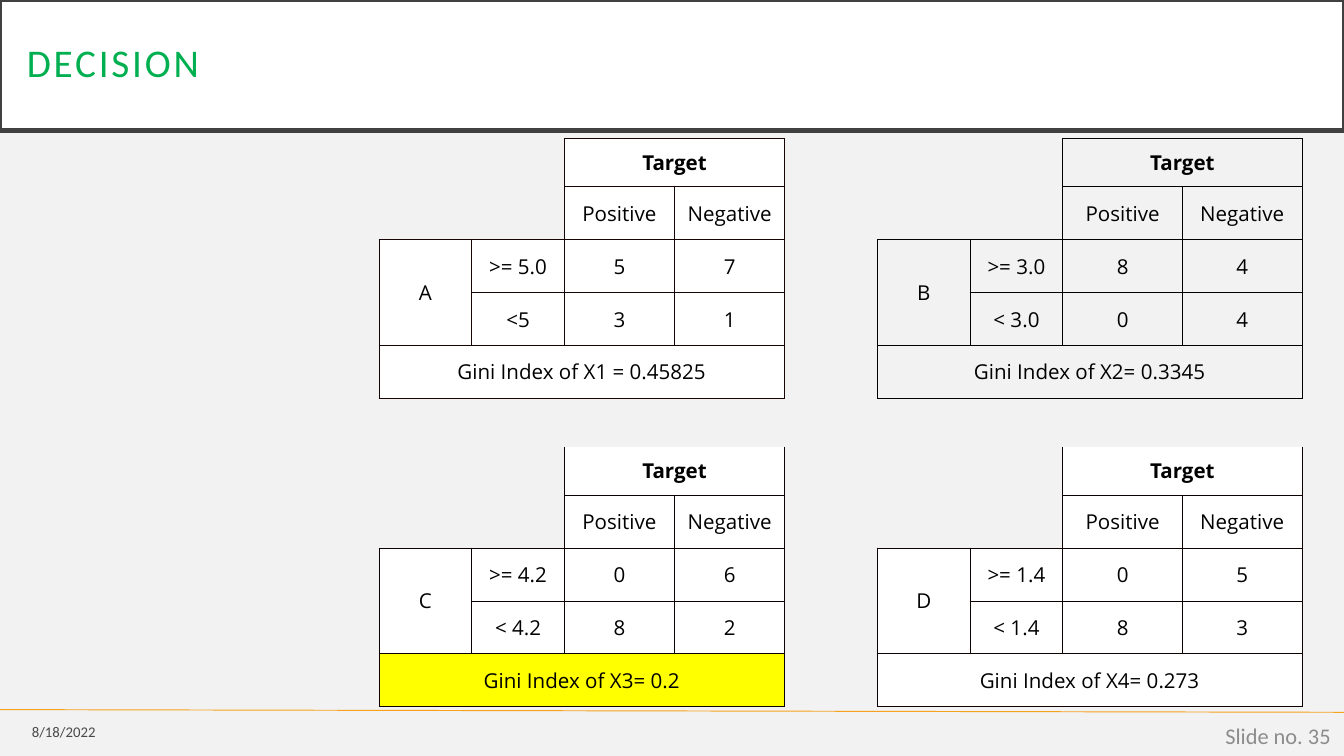
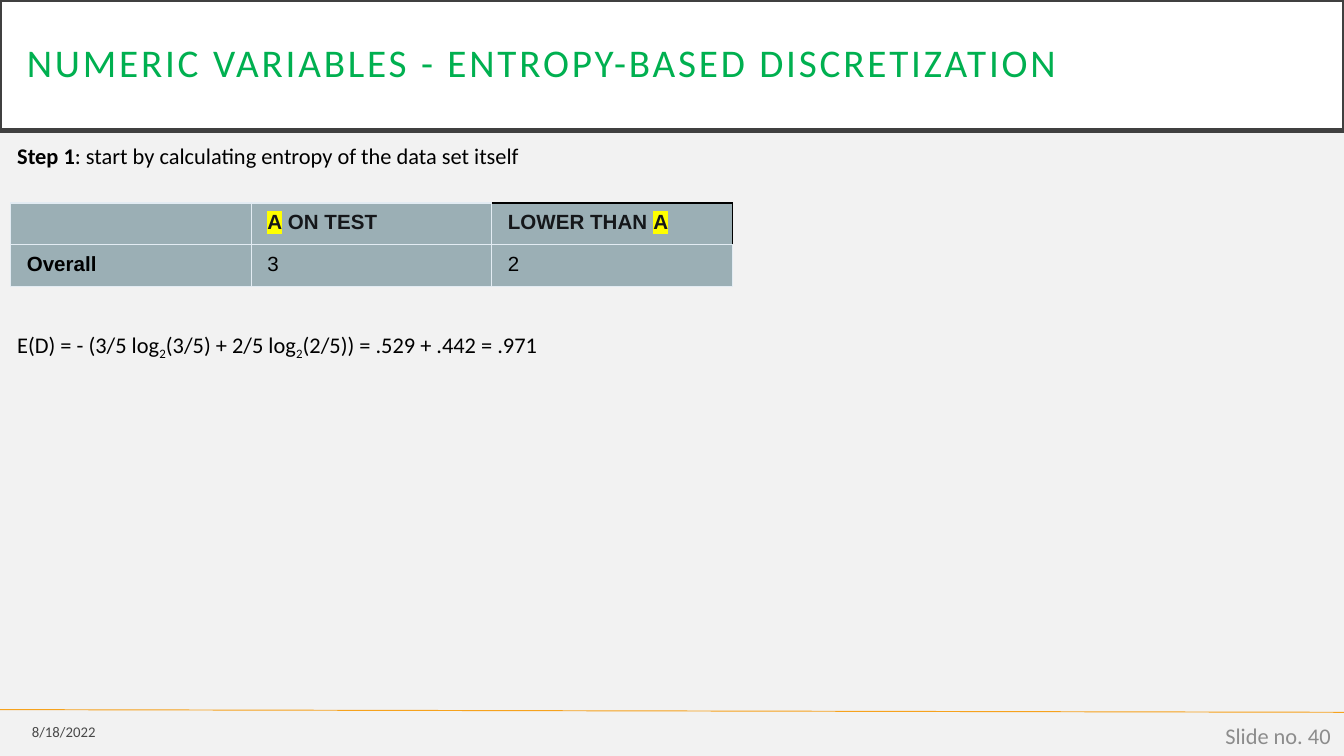
from lxml import etree
from pptx import Presentation
from pptx.dml.color import RGBColor
from pptx.enum.shapes import MSO_CONNECTOR, MSO_SHAPE
from pptx.enum.text import MSO_ANCHOR, PP_ALIGN
from pptx.oxml.ns import qn
from pptx.util import Inches, Pt

LEFT, CENTER, RIGHT = PP_ALIGN.LEFT, PP_ALIGN.CENTER, PP_ALIGN.RIGHT
TOP, MIDDLE = MSO_ANCHOR.TOP, MSO_ANCHOR.MIDDLE
RECTANGLE, STRAIGHT = MSO_SHAPE.RECTANGLE, MSO_CONNECTOR.STRAIGHT

WIDTH = 10
HEIGHT = WIDTH * 9 / 16
BLANK_LAYOUT = 6
PLAIN_TABLE = "{2D5ABB26-0587-4C30-8999-92F81FD0307C}"
COLORS = {
    "page": "F2F2F2", "white": "FFFFFF", "frame": "404040", "title": "00B050",
    "rule": "F6A21D", "black": "000000", "number": "8C8C8C", "mark": "FFFF00",
    "slate": "9BAFB5", "pale": "E3ECF3", "heading": "15171A",
    "ink_a": "170404", "ink_c": "0D0202", "ink_d": "0D0101",
}

DATE = "8/18/2022"
DECISION = ("DECISION", 35)
ENTROPY = ("NUMERIC VARIABLES - ENTROPY-BASED DISCRETIZATION", 40)

ATTRIBUTES = [
    {"name": "A", "at": (0, 0), "ink": "ink_a", "fill": "white", "gini_fill": "white",
     "splits": [(">= 5.0", "5", "7"), ("<5", "3", "1")],
     "gini": "Gini Index of X1 = 0.45825"},
    {"name": "B", "at": (0, 5), "ink": "black", "fill": None, "gini_fill": None,
     "splits": [(">= 3.0", "8", "4"), ("< 3.0", "0", "4")],
     "gini": "Gini Index of X2= 0.3345"},
    {"name": "C", "at": (6, 0), "ink": "ink_c", "fill": "white", "gini_fill": "mark",
     "splits": [(">= 4.2", "0", "6"), ("< 4.2", "8", "2")],
     "gini": "Gini Index of X3= 0.2"},
    {"name": "D", "at": (6, 5), "ink": "ink_d", "fill": "white", "gini_fill": "white",
     "splits": [(">= 1.4", "0", "5"), ("< 1.4", "8", "3")],
     "gini": "Gini Index of X4= 0.273"},
]
GINI_COLUMNS = [0.69, 0.69, 0.82, 0.82, 0.69, 0.69, 0.69, 0.89, 0.89]
GINI_HEIGHT, TARGET_ROW = 4.23, 0.36
BODY_ROW = (GINI_HEIGHT - 3 * TARGET_ROW) / 8
BLOCK_ROWS = [TARGET_ROW] + [BODY_ROW] * 4
GINI_ROWS = BLOCK_ROWS + [TARGET_ROW] + BLOCK_ROWS

STEP = [("Step 1", {"bold": True}),
        (": start by calculating entropy of the data set itself", {})]
SUBSCRIPT = {"baseline": -25000}
FORMULA = [("E(D) = - (3/5 log", {}), ("2", SUBSCRIPT), ("(3/5) + 2/5 log", {}),
           ("2", SUBSCRIPT), ("(2/5)) = .529 + .442 = .971", {})]
HEADING = {"color": "heading", "bold": True}
MARKED = {**HEADING, "highlight": "mark"}
OVERALL = [
    [[], [("A", MARKED), (" ON TEST", HEADING)],
     [("LOWER THAN ", HEADING), ("A", MARKED)]],
    [[("Overall", {"bold": True})], [("3", {})], [("2", {})]],
]


def rgb(key):
    return RGBColor.from_string(COLORS[key])


def write(paragraph, parts, size, face, align=LEFT):
    paragraph.alignment = align
    for text, look in parts:
        run = paragraph.add_run()
        run.text = text
        font = run.font
        font.size, font.name, font.bold = Pt(size), face, look.get("bold", False)
        font.color.rgb = rgb(look.get("color", "black"))
        properties = run._r.get_or_add_rPr()
        for attribute in ("baseline", "spc"):
            if attribute in look:
                properties.set(attribute, str(look[attribute]))
        paint = properties.find(qn("a:solidFill"))
        if "alpha" in look:
            etree.SubElement(paint[0], qn("a:alpha"), val=str(look["alpha"]))
        if "highlight" in look:
            marker = etree.Element(qn("a:highlight"))
            etree.SubElement(marker, qn("a:srgbClr"), val=COLORS[look["highlight"]])
            paint.addnext(marker)


def add_text(slide, box, anchor=TOP):
    frame = slide.shapes.add_textbox(*map(Inches, box)).text_frame
    frame.word_wrap = True
    frame.vertical_anchor = anchor
    return frame


def add_base(deck, title, number):
    slide = deck.slides.add_slide(deck.slide_layouts[BLANK_LAYOUT])
    slide.background.fill.solid()
    slide.background.fill.fore_color.rgb = rgb("page")
    rule = slide.shapes.add_connector(
        STRAIGHT, 0, Inches(5.28), Inches(WIDTH), Inches(5.3))
    rule.line.color.rgb = rgb("rule")
    rule.line.width = Pt(0.5)
    etree.SubElement(rule._element.spPr, qn("a:effectLst"))

    band = slide.shapes.add_shape(RECTANGLE, 0, 0, Inches(WIDTH), Inches(0.97))
    band.shadow.inherit = False
    band.fill.solid()
    band.fill.fore_color.rgb = rgb("white")
    band.line.color.rgb = rgb("frame")
    band.line.width = Pt(2.5)
    frame = band.text_frame
    frame.word_wrap = True
    frame.vertical_anchor = MIDDLE
    frame.margin_left = frame.margin_right = Inches(0.2)
    frame.margin_top = frame.margin_bottom = Inches(0.2)
    frame.paragraphs[0].line_spacing = 0.9
    write(frame.paragraphs[0], [(title, {"color": "title", "spc": 150})], 21, "Calibri")

    footers = [
        ((0, 5.31, 0.81, 0.27), DATE, 7.9, {"alpha": 70000}),
        ((7.75, 5.32, 2.25, 0.3), f"Slide no. {number}", 12, {"color": "number"}),
    ]
    for box, text, size, look in footers:
        footer = add_text(slide, box, MIDDLE)
        write(footer.paragraphs[0], [(text, look)], size, "Calibri", RIGHT)
    return slide


def add_grid(slide, left, top, columns, rows):
    shape = slide.shapes.add_table(
        len(rows), len(columns), Inches(left), Inches(top),
        Inches(sum(columns)), Inches(sum(rows)))
    table = shape.table
    table.first_row = table.horz_banding = False
    table._tbl.tblPr.find(qn("a:tableStyleId")).text = PLAIN_TABLE
    for column, width in zip(table.columns, columns):
        column.width = Inches(width)
    for row, height in zip(table.rows, rows):
        row.height = Inches(height)
    return table


def dress(cell, edges, fill, margin_x=0, margin_y=0):
    properties = cell._tc.get_or_add_tcPr()
    for side in "LRTB":
        key, width = edges.get(side) or (None, 0)
        line = etree.SubElement(properties, qn(f"a:ln{side}"), w=str(Pt(width)))
        if key:
            paint = etree.SubElement(line, qn("a:solidFill"))
            etree.SubElement(paint, qn("a:srgbClr"), val=COLORS[key])
        else:
            etree.SubElement(line, qn("a:noFill"))
    if fill:
        cell.fill.solid()
        cell.fill.fore_color.rgb = rgb(fill)
    else:
        cell.fill.background()
    cell.margin_left = cell.margin_right = Inches(margin_x)
    cell.margin_top = cell.margin_bottom = Inches(margin_y)


def block_cells(block):
    yield 0, 2, 1, 2, "Target", block["fill"]
    yield 1, 2, 1, 1, "Positive", block["fill"]
    yield 1, 3, 1, 1, "Negative", block["fill"]
    yield 2, 0, 2, 1, block["name"], block["fill"]
    for row, split in enumerate(block["splits"], 2):
        for column, text in enumerate(split, 1):
            yield row, column, 1, 1, text, block["fill"]
    yield 4, 0, 1, 4, block["gini"], block["gini_fill"]


def build_decision(deck):
    slide = add_base(deck, *DECISION)
    table = add_grid(slide, 2.82, 1.03, GINI_COLUMNS, GINI_ROWS)
    owners, labels = {}, []
    for block in ATTRIBUTES:
        first_row, first_column = block["at"]
        for row, column, tall, wide, text, fill in block_cells(block):
            row, column = row + first_row, column + first_column
            labels.append((row, column, tall, wide, text))
            for r in range(row, row + tall):
                for c in range(column, column + wide):
                    owners[r, c] = block["ink"], fill

    neighbours = {"L": (0, -1), "R": (0, 1), "T": (-1, 0), "B": (1, 0)}
    gap_row = len(BLOCK_ROWS)
    for r in range(len(GINI_ROWS)):
        for c in range(len(GINI_COLUMNS)):
            own = owners.get((r, c))
            edges = {}
            for side, (down, across) in neighbours.items():
                owner = own or owners.get((r + down, c + across))
                open_edge = (r, side) in ((gap_row, "B"), (gap_row + 1, "T"))
                if owner and not open_edge:
                    edges[side] = owner[0], 0.5
            dress(table.cell(r, c), edges, own and own[1], 0.01)

    for row, column, tall, wide, text in labels:
        cell = table.cell(row, column)
        if tall * wide > 1:
            cell.merge(table.cell(row + tall - 1, column + wide - 1))
        cell.vertical_anchor = MIDDLE
        write(cell.text_frame.paragraphs[0], [(text, {"bold": text == "Target"})],
              11, "Open Sans", CENTER)


def build_entropy(deck):
    slide = add_base(deck, *ENTROPY)
    frame = add_text(slide, (0.03, 1.01, 5.96, 1.72))
    write(frame.paragraphs[0], STEP, 12, "Calibri")
    formula = frame.add_paragraph()
    formula.space_before = Pt(86.5)
    write(formula, FORMULA, 12, "Calibri")

    table = add_grid(slide, 0.08, 1.51, [1.79] * 3, [0.31] * 2)
    for r, row in enumerate(OVERALL):
        for c, parts in enumerate(row):
            edges = dict.fromkeys("LRTB", ("pale", 0.75))
            if (r, c) == (0, 2):
                edges.update(dict.fromkeys("RT", ("black", 1)))
            cell = table.cell(r, c)
            dress(cell, edges, "slate", 0.12, 0.06 if parts else 0)
            write(cell.text_frame.paragraphs[0], parts, 11, "Arial")


def main():
    deck = Presentation()
    deck.slide_width, deck.slide_height = Inches(WIDTH), Inches(HEIGHT)
    build_decision(deck)
    build_entropy(deck)
    deck.save("out.pptx")


if __name__ == "__main__":
    main()
